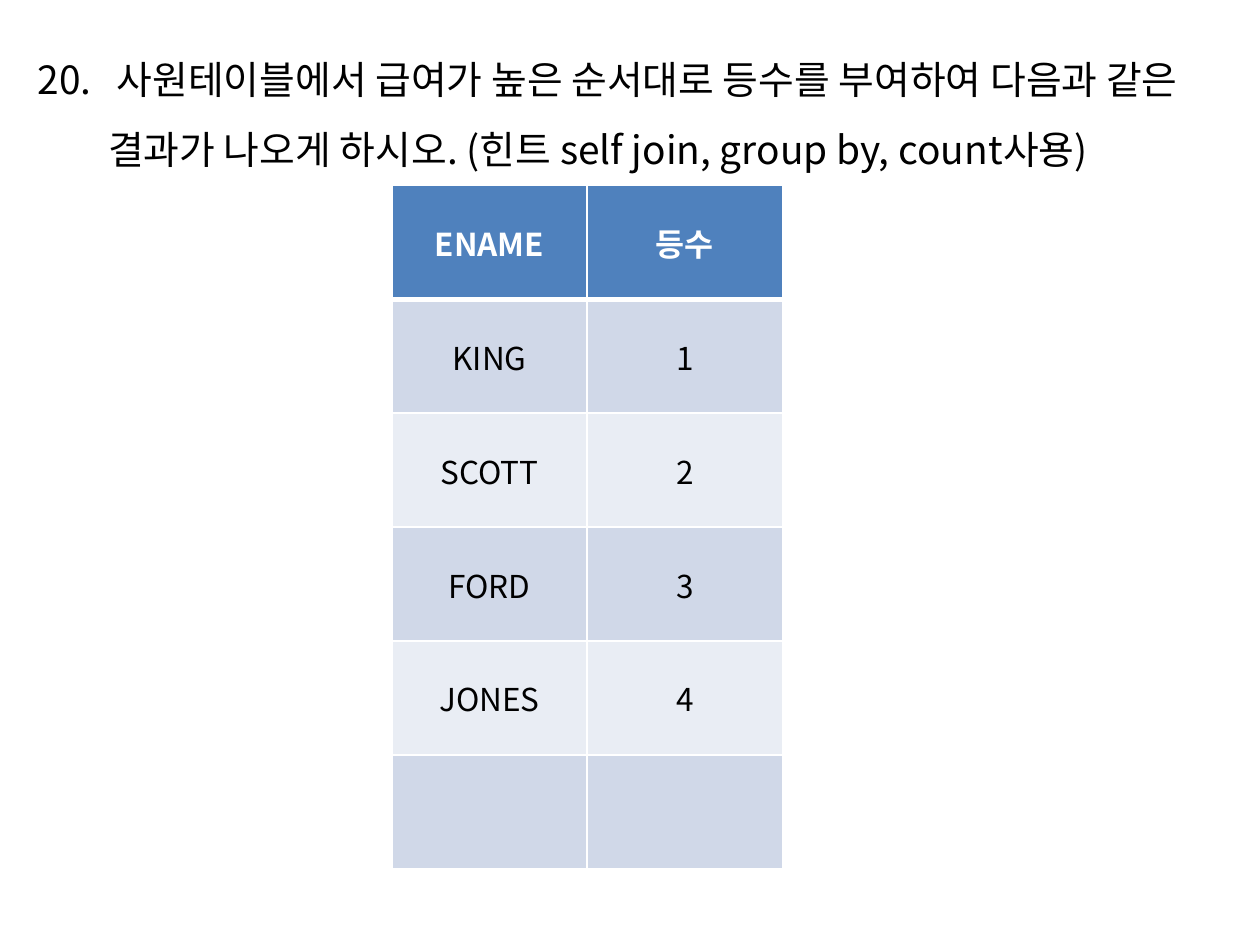
from lxml.etree import SubElement
from pptx import Presentation
from pptx.dml.color import RGBColor
from pptx.enum.text import MSO_ANCHOR, PP_ALIGN
from pptx.oxml.ns import qn
from pptx.util import Inches, Pt

FONT = "Noto Sans CJK KR"
TASK = (" 사원테이블에서 급여가 높은 순서대로 등수를 부여하여 다음과 같은 결과가 "
        "나오게 하시오. (힌트 self join, group by, count사용)")
ROWS = [("ENAME", "등수"), ("KING", "1"), ("SCOTT", "2"),
        ("FORD", "3"), ("JONES", "4"), ("", "")]
HEAD, BANDS = "4F81BD", ("D0D8E8", "E9EDF4")
WHITE, BLACK = "FFFFFF", "000000"
COL, ROW = 1.55, 0.905


def color(code):
    return RGBColor.from_string(code)


def write(para, text, size, code, bold=False):
    run = para.add_run()
    run.text = text
    font = run.font
    font.name, font.size, font.bold = FONT, Pt(size), bold
    font.color.rgb = color(code)


def number(para, start, indent):
    """Number the paragraph with a hanging indent."""
    props = para._p.get_or_add_pPr()
    props.set("marL", str(Inches(indent)))
    props.set("indent", str(-Inches(indent)))
    SubElement(props, qn("a:buFont"), typeface=FONT)
    SubElement(props, qn("a:buAutoNum"), type="arabicPeriod", startAt=str(start))


def border(cell, side, width):
    line = SubElement(cell._tc.get_or_add_tcPr(), qn("a:" + side), w=str(Pt(width)))
    fill = SubElement(line, qn("a:solidFill"))
    SubElement(fill, qn("a:srgbClr"), val=WHITE)


def style(cell, row):
    top = row == 0
    for side in ("lnL", "lnR", "lnT", "lnB"):
        thick = (top and side == "lnB") or (row == 1 and side == "lnT")
        border(cell, side, 3 if thick else 1)
    cell.fill.solid()
    cell.fill.fore_color.rgb = color(HEAD if top else BANDS[(row - 1) % 2])
    cell.vertical_anchor = MSO_ANCHOR.MIDDLE


deck = Presentation()
deck.slide_width, deck.slide_height = Inches(10), Inches(7.5)
slide = deck.slides.add_slide(deck.slide_layouts[6])

box = slide.shapes.add_textbox(Inches(0.2), Inches(0.21), Inches(9.61), Inches(1.5))
box.text_frame.word_wrap = True
para = box.text_frame.paragraphs[0]
para.line_spacing = 1.5
number(para, 20, 0.56)
write(para, TASK, 22.2, BLACK)

count = len(ROWS)
table = slide.shapes.add_table(count, 2, Inches(3.11), Inches(1.47),
                               Inches(2 * COL), Inches(count * ROW)).table
for r, texts in enumerate(ROWS):
    table.rows[r].height = Inches(ROW)
    for c, text in enumerate(texts):
        cell = table.cell(r, c)
        style(cell, r)
        para = cell.text_frame.paragraphs[0]
        para.alignment = PP_ALIGN.CENTER
        if text:
            write(para, text, 18, BLACK if r else WHITE, bold=r == 0)

deck.save("out.pptx")
